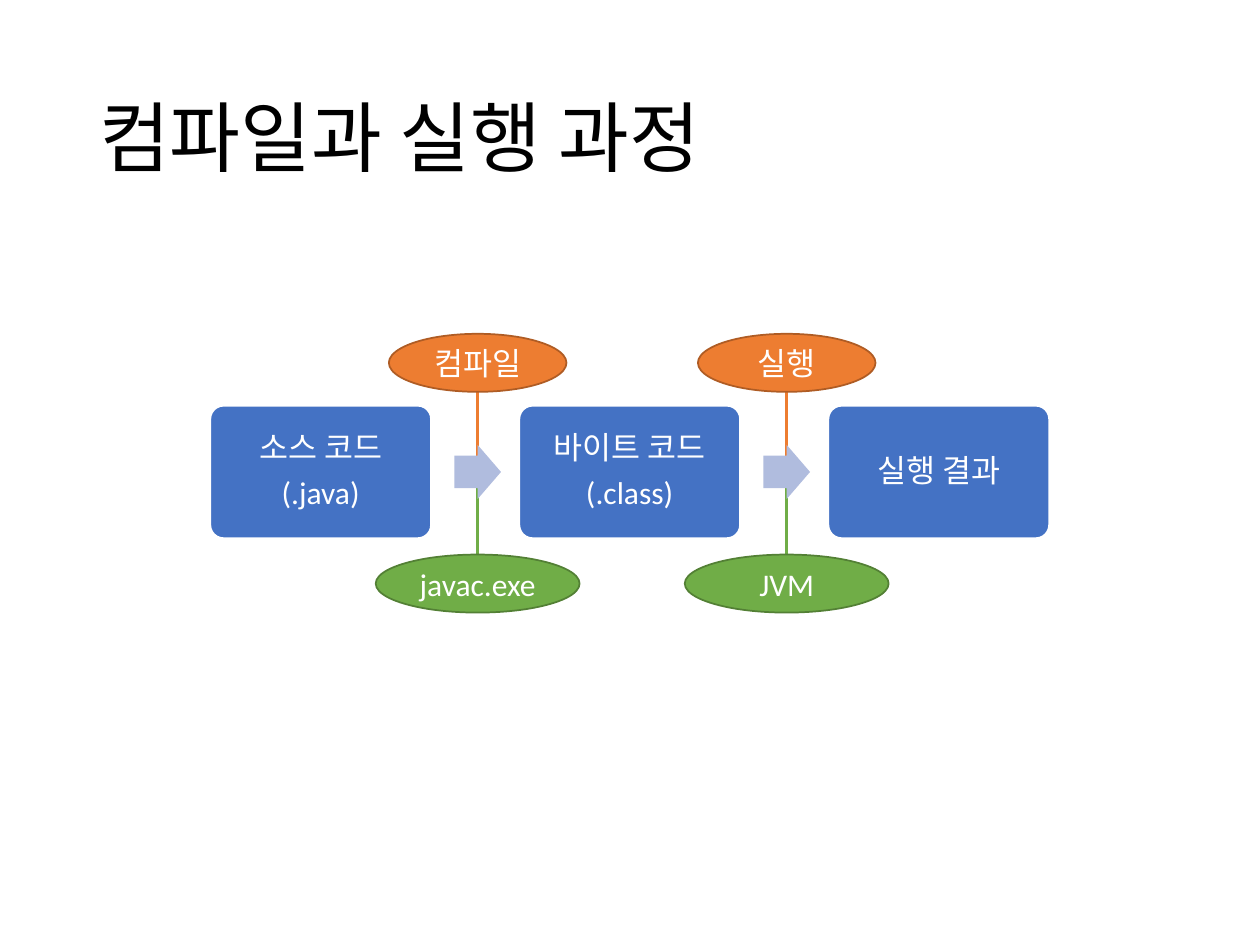
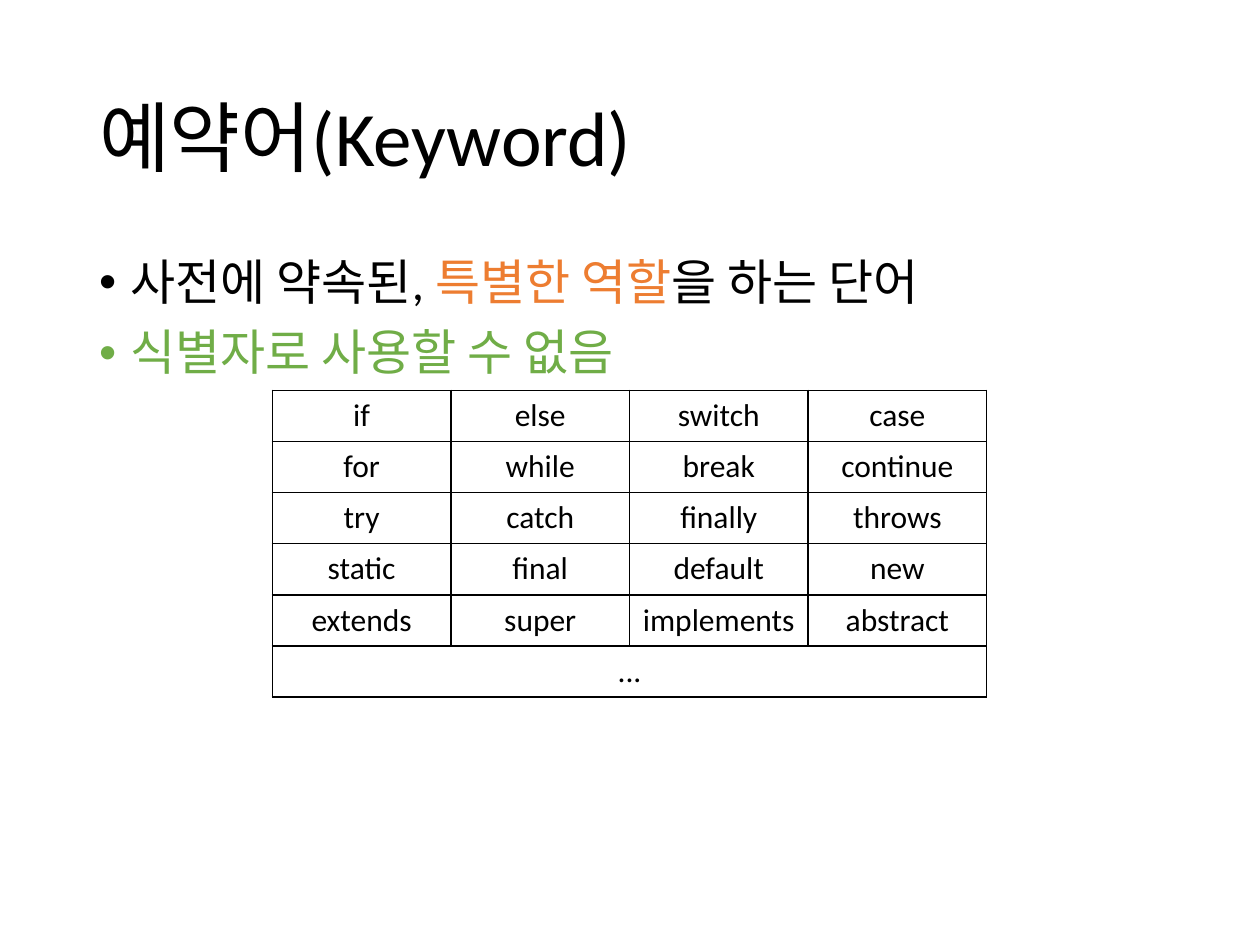
from lxml.etree import SubElement
from pptx import Presentation
from pptx.dml.color import RGBColor
from pptx.enum.shapes import MSO_CONNECTOR as CONN, MSO_SHAPE as SHAPE
from pptx.enum.text import MSO_ANCHOR as ANCHOR, PP_ALIGN as ALIGN
from pptx.oxml.ns import qn
from pptx.util import Cm, Pt

FONT = "Calibri"
BLACK, WHITE = "000000", "FFFFFF"
BLUE, PALE = "4472C4", "B0BCDE"
ORANGE, ORANGE_EDGE = "ED7D31", "AF5C24"
GREEN, GREEN_EDGE = "70AD47", "538035"

STAGES = [["소스 코드", "(.java)"], ["바이트 코드", "(.class)"], ["실행 결과"]]
STEPS = [("컴파일", "javac.exe"), ("실행", "JVM")]
BULLETS = [
    [("사전에 약속된, ", BLACK), ("특별한 역할", ORANGE), ("을 하는 단어", BLACK)],
    [("식별자로 사용할 수 없음", GREEN)],
]
KEYWORDS = [
    ["if", "else", "switch", "case"],
    ["for", "while", "break", "continue"],
    ["try", "catch", "finally", "throws"],
    ["static", "final", "default", "new"],
    ["extends", "super", "implements", "abstract"],
    ["..."],
]

MARGIN, CONTENT_W = 1.75, 21.9
PITCH = 6.23
BOX_LEFT, BOX_TOP, BOX_W, BOX_H = 4.24, 8.18, 4.45, 2.67
STEP_X, ARROW_W, ARROW_H = 9.63, 0.94, 1.09
OVAL_H, ACTION_TOP, ACTION_W, TOOL_TOP, TOOL_W = 1.17, 6.73, 3.58, 11.18, 4.11
COL_W, ROW_H = 3.6, 1.03


def rgb(color):
    return RGBColor.from_string(color)


def add_run(p, text, size, color):
    r = p.add_run()
    r.text = text
    r.font.name, r.font.size = FONT, Pt(size)
    r.font.color.rgb = rgb(color)


def add_title(s, text):
    tf = s.shapes.add_textbox(Cm(MARGIN), Cm(1.02), Cm(CONTENT_W), Cm(3.68)).text_frame
    tf.word_wrap, tf.vertical_anchor = True, ANCHOR.MIDDLE
    p = tf.paragraphs[0]
    p.line_spacing = 0.9
    add_run(p, text, 44, BLACK)


def add_block(s, kind, left, top, width, height, fill, edge=None):
    sp = s.shapes.add_shape(kind, Cm(left), Cm(top), Cm(width), Cm(height))
    sp.shadow.inherit = False
    sp.fill.solid()
    sp.fill.fore_color.rgb = rgb(fill)
    if edge:
        sp.line.color.rgb = rgb(edge)
        sp.line.width = Pt(1)
    else:
        sp.line.fill.background()
    return sp


def add_oval(s, text, center, top, width, fill, edge):
    sp = add_block(s, SHAPE.OVAL, center - width / 2, top, width, OVAL_H, fill, edge)
    tf = sp.text_frame
    tf.vertical_anchor = ANCHOR.MIDDLE
    p = tf.paragraphs[0]
    p.alignment = ALIGN.CENTER
    add_run(p, text, 18, WHITE)


def add_stem(s, x, start, end, color):
    line = s.shapes.add_connector(CONN.STRAIGHT, Cm(x), Cm(start), Cm(x), Cm(end))
    line.line.color.rgb = rgb(color)
    line.line.width = Pt(1.5)
    SubElement(line._element.spPr, qn("a:effectLst"))


def add_stage(s, lines, left):
    sp = add_block(s, SHAPE.ROUNDED_RECTANGLE, left, BOX_TOP, BOX_W, BOX_H, BLUE, WHITE)
    sp.adjustments[0] = 0.1
    tf = sp.text_frame
    tf.vertical_anchor = ANCHOR.MIDDLE
    for i, text in enumerate(lines):
        p = tf.add_paragraph() if i else tf.paragraphs[0]
        p.alignment, p.line_spacing, p.space_after = ALIGN.CENTER, 0.9, Pt(6.3)
        add_run(p, text, 18, WHITE)


def add_step(s, action, tool, x):
    middle = BOX_TOP + BOX_H / 2
    add_stem(s, x, TOOL_TOP, middle, GREEN)
    add_stem(s, x, ACTION_TOP + OVAL_H, middle, ORANGE)
    arrow = add_block(s, SHAPE.RIGHT_ARROW, x - ARROW_W / 2, middle - ARROW_H / 2,
                      ARROW_W, ARROW_H, PALE)
    arrow.adjustments[0] = 0.6
    add_oval(s, action, x, ACTION_TOP, ACTION_W, ORANGE, ORANGE_EDGE)
    add_oval(s, tool, x, TOOL_TOP, TOOL_W, GREEN, GREEN_EDGE)


def add_bullets(s, bullets):
    tf = s.shapes.add_textbox(Cm(MARGIN), Cm(5.08), Cm(CONTENT_W), Cm(12.09)).text_frame
    tf.word_wrap = True
    for i, runs in enumerate(bullets):
        p = tf.add_paragraph() if i else tf.paragraphs[0]
        p.line_spacing, p.space_before = 0.9, Pt(10)
        pPr = p._p.get_or_add_pPr()
        pPr.set("marL", str(Cm(0.64)))
        pPr.set("indent", str(Cm(-0.64)))
        SubElement(pPr, qn("a:buFont"), typeface="Arial")
        SubElement(pPr, qn("a:buChar"), char="•")
        for text, color in runs:
            add_run(p, text, 28, color)


def style_cell(cell):
    tcPr = cell._tc.get_or_add_tcPr()
    for side in ("lnL", "lnR", "lnT", "lnB"):
        ln = SubElement(tcPr, qn(f"a:{side}"), w=str(Pt(1)))
        SubElement(SubElement(ln, qn("a:solidFill")), qn("a:srgbClr"), val=BLACK)
    cell.fill.background()


def add_keywords(s, rows):
    cols = len(rows[0])
    table = s.shapes.add_table(len(rows), cols, Cm(5.49), Cm(7.87),
                               Cm(COL_W * cols), Cm(ROW_H * len(rows))).table
    table.first_row = table.horz_banding = False
    for y, row in enumerate(rows):
        table.rows[y].height = Cm(ROW_H)
        for x in range(cols):
            style_cell(table.cell(y, x))
        if len(row) == 1:
            table.cell(y, 0).merge(table.cell(y, cols - 1))
        for x, text in enumerate(row):
            p = table.cell(y, x).text_frame.paragraphs[0]
            p.alignment = ALIGN.CENTER
            add_run(p, text, 18, BLACK)


def add_slide(prs, title):
    s = prs.slides.add_slide(prs.slide_layouts[6])
    add_title(s, title)
    return s


def main():
    prs = Presentation()
    prs.slide_width, prs.slide_height = Cm(25.4), Cm(19.05)

    s = add_slide(prs, "컴파일과 실행 과정")
    for i, lines in enumerate(STAGES):
        add_stage(s, lines, BOX_LEFT + i * PITCH)
    for i, (action, tool) in enumerate(STEPS):
        add_step(s, action, tool, STEP_X + i * PITCH)

    s = add_slide(prs, "예약어(Keyword)")
    add_bullets(s, BULLETS)
    add_keywords(s, KEYWORDS)

    prs.save("out.pptx")


if __name__ == "__main__":
    main()
